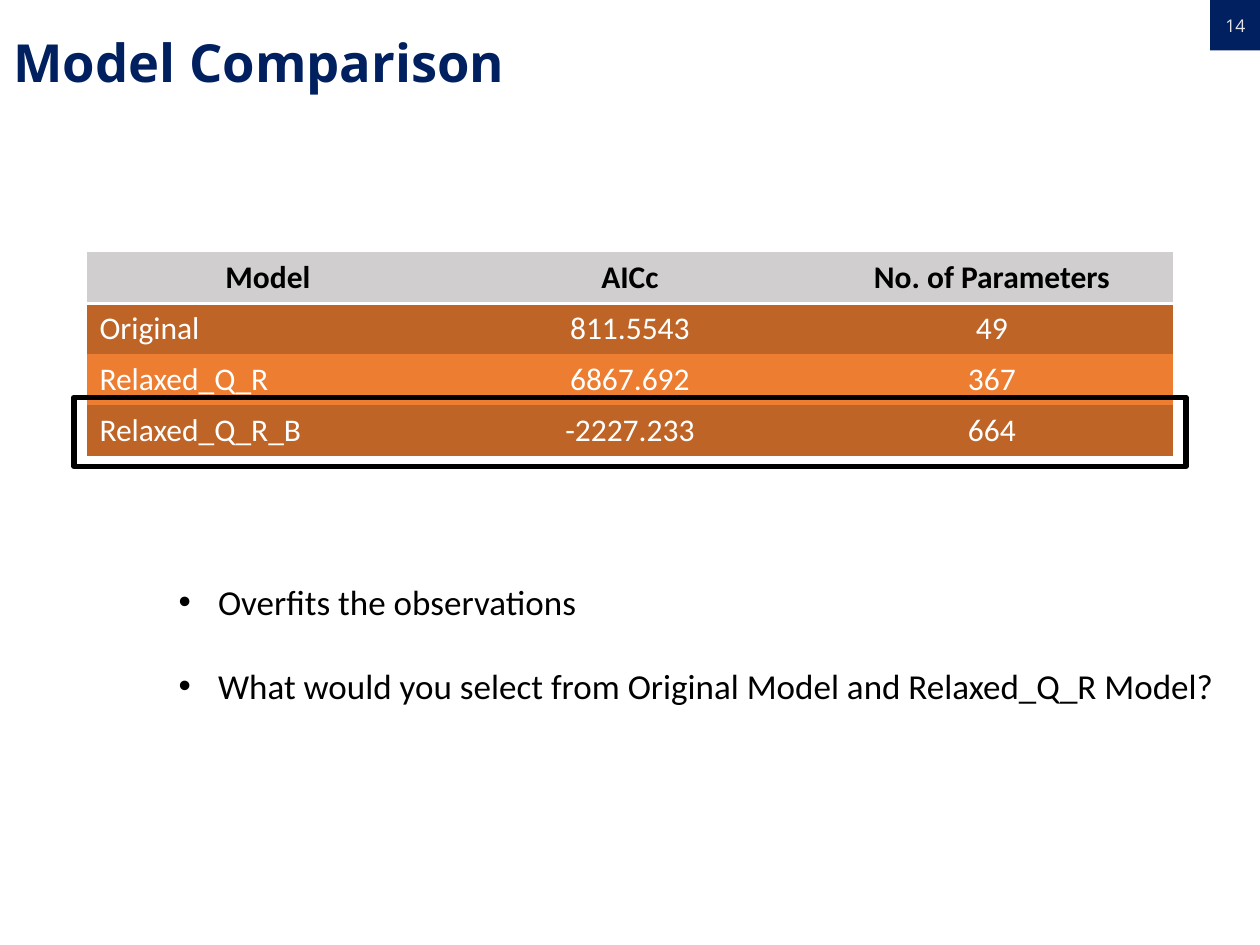
from lxml import etree
from pptx import Presentation
from pptx.dml.color import RGBColor
from pptx.enum import shapes, text
from pptx.oxml.ns import qn
from pptx.util import Pt

NAVY, BLACK, WHITE = "002060", "000000", "FFFFFF"
GREY, PALE = "D0CECE", "E7E6E6"
ORANGE, RUST = "ED7D31", "BE6427"
NO_STYLE_NO_GRID = "{2D5ABB26-0587-4C30-8999-92F81FD0307C}"
CENTER = text.PP_ALIGN.CENTER
MIDDLE = text.MSO_ANCHOR.MIDDLE


def rgb(color):
    return RGBColor.from_string(color)


def outline(parent, tag, color, width):
    """Insert a solid line as the first child of run or cell properties."""
    ln = etree.Element(qn(tag), w=str(Pt(width)))
    fill = etree.SubElement(ln, qn("a:solidFill"))
    etree.SubElement(fill, qn("a:srgbClr"), val=color)
    parent.insert(0, ln)


class SlideBuilder:
    body, heading = "Calibri", "Open Sans"

    def __init__(self, prs):
        self.s = prs.slides.add_slide(prs.slide_layouts[5])

    def style(self, p, font, size, color, bold=False):
        for r in p.runs:
            r.font.name, r.font.size, r.font.bold = font, Pt(size), bold
            r.font.color.rgb = rgb(color)

    def title(self, words, *box):
        sp = self.s.shapes.title
        sp.left, sp.top, sp.width, sp.height = map(Pt, box)
        tf = sp.text_frame
        tf.text = words
        tf.vertical_anchor = text.MSO_ANCHOR.TOP
        tf.auto_size = text.MSO_AUTO_SIZE.NONE
        p = tf.paragraphs[0]
        p.alignment, p.line_spacing = text.PP_ALIGN.LEFT, 0.9
        self.style(p, self.heading, 30, NAVY, True)
        outline(p.runs[0].font._element, "a:ln", NAVY, 0.75)

    def rect(self, *box, fill=None, line=None, width=3):
        sp = self.s.shapes.add_shape(shapes.MSO_SHAPE.RECTANGLE, *map(Pt, box))
        sp.shadow.inherit = False
        if fill:
            sp.fill.solid()
            sp.fill.fore_color.rgb = rgb(fill)
        else:
            sp.fill.background()
        if line:
            sp.line.color.rgb = rgb(line)
            sp.line.width = Pt(width)
        else:
            sp.line.fill.background()
        return sp

    def page_number(self, number, *box):
        tf = self.rect(*box, fill=NAVY).text_frame
        tf.text = number
        tf.vertical_anchor = MIDDLE
        tf.margin_left = tf.margin_right = 0
        p = tf.paragraphs[0]
        p.alignment = CENTER
        self.style(p, self.heading, 10, PALE)

    def table(self, rows, *box):
        frame = self.s.shapes.add_table(len(rows), len(rows[0]), *map(Pt, box))
        tbl = frame.table
        tbl._tbl.tblPr.find(qn("a:tableStyleId")).text = NO_STYLE_NO_GRID
        for i, row in enumerate(rows):
            header = i == 0
            fill = GREY if header else RUST if i % 2 else ORANGE
            for j, value in enumerate(row):
                cell = tbl.cell(i, j)
                cell.text = value
                cell.fill.solid()
                cell.fill.fore_color.rgb = rgb(fill)
                p = cell.text_frame.paragraphs[0]
                if header or j:
                    p.alignment = CENTER
                self.style(p, self.body, 18, BLACK if header else WHITE, header)
                if header:
                    cell.vertical_anchor = MIDDLE
                    outline(cell._tc.tcPr, "a:lnB", WHITE, 2)

    def bullets(self, items, *box, gap=24, indent=22.5):
        tf = self.s.shapes.add_textbox(*map(Pt, box)).text_frame
        tf.word_wrap = False
        tf.auto_size = text.MSO_AUTO_SIZE.SHAPE_TO_FIT_TEXT
        for i, item in enumerate(items):
            p = tf.add_paragraph() if i else tf.paragraphs[0]
            p.text = item
            pPr = p._p.get_or_add_pPr()
            pPr.set("marL", str(Pt(indent)))
            pPr.set("indent", str(Pt(-indent)))
            etree.SubElement(pPr, qn("a:buFont"), typeface="Arial")
            etree.SubElement(pPr, qn("a:buChar"), char="•")
            if i:
                p.space_before = Pt(gap)
            self.style(p, self.body, 20, BLACK)


def main():
    prs = Presentation()
    prs.slide_width, prs.slide_height = Pt(720), Pt(540)
    b = SlideBuilder(prs)

    # Heading and page number
    b.title("Model Comparison", 0.5, 17.5, 359.5, 51)
    b.page_number("14", 691.6, 0, 28.8, 28.8)

    # Model table, with the last model framed
    b.table([
        ("Model", "AICc", "No. of Parameters"),
        ("Original", "811.5543", "49"),
        ("Relaxed_Q_R", "6867.692", "367"),
        ("Relaxed_Q_R_B", "-2227.233", "664"),
    ], 49.7, 144, 620.6, 116.8)
    b.rect(42.3, 227, 635.4, 39.6, line=BLACK)

    # Discussion points
    b.bullets([
        "Overfits the observations",
        "What would you select from Original Model and Relaxed_Q_R Model?",
    ], 95, 328.3, 611.3, 80)

    prs.save("out.pptx")


if __name__ == "__main__":
    main()
